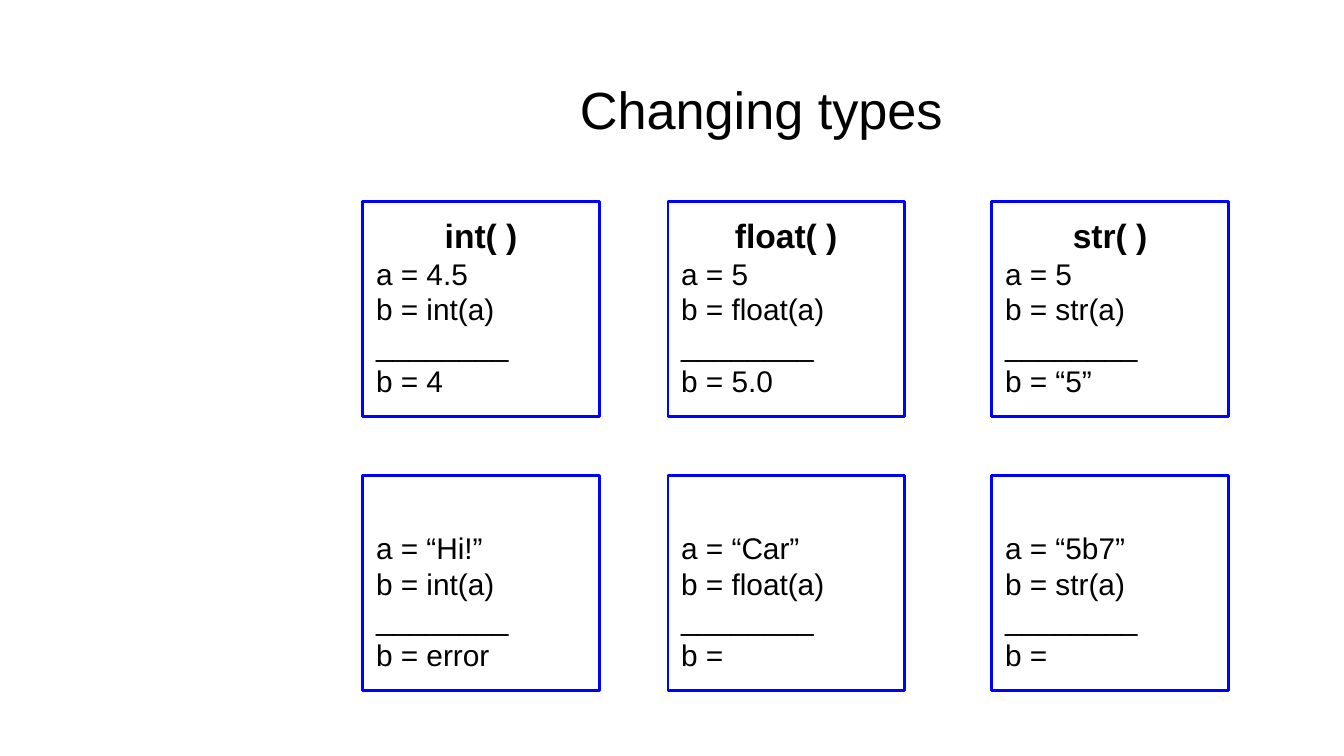
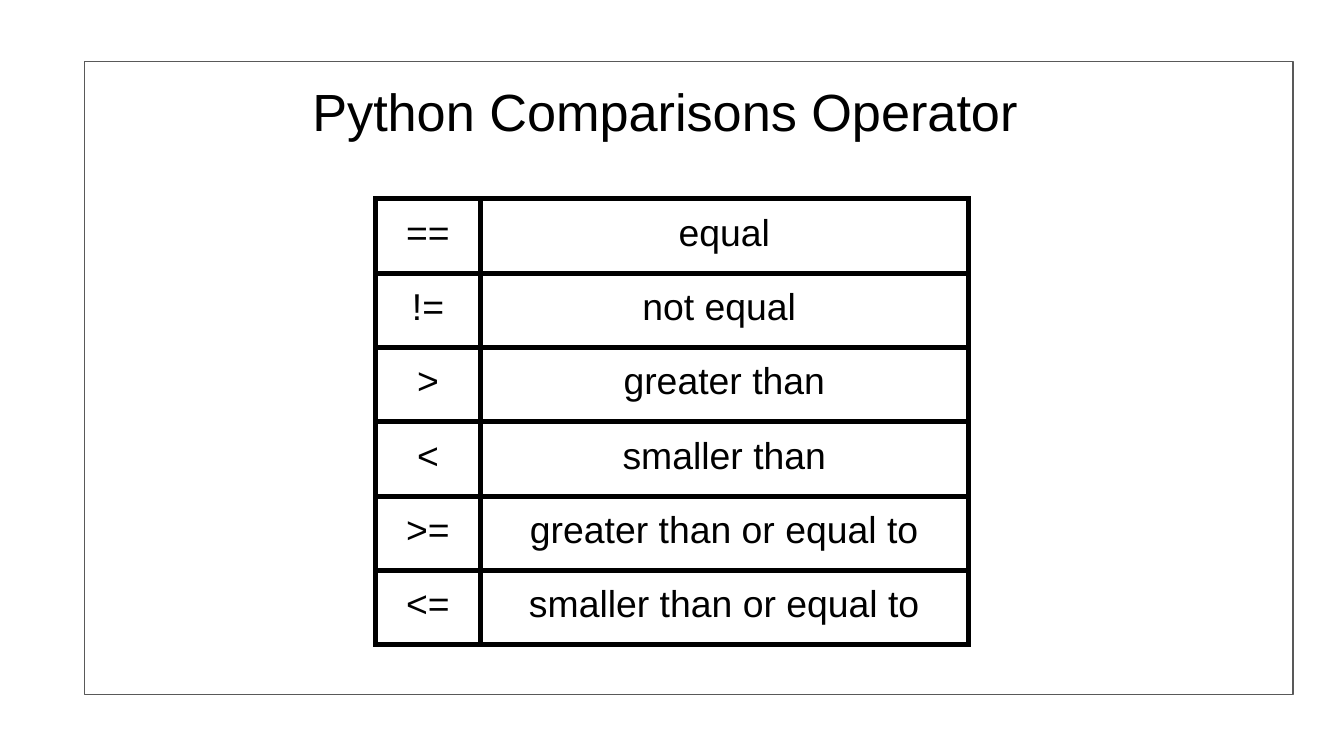
from lxml.etree import SubElement
from pptx import Presentation
from pptx.dml.color import RGBColor
from pptx.enum.shapes import MSO_SHAPE
from pptx.enum.text import MSO_ANCHOR, PP_ALIGN
from pptx.oxml.ns import qn
from pptx.util import Inches, Pt

COLORS = {"ink": "000000", "paper": "FFFFFF", "box": "0000FF", "frame": "595959"}
FONT = "Arial"
# Slide grid: 100 columns by 56.25 rows of square units (16:9)
UNIT = Inches(0.1)
COLS, ROWS = 100, 56.25
INSET = 1

BOX_LEFTS = (27, 49.7, 73.8)
BOX_TOP, BOX_PITCH = 15, 20.4
BOX_SIZE = (17.6, 16)
HEADING_ROOM = 3
RULE = "________"
CONVERSIONS = [
    [("int( )", "a = 4.5", "b = int(a)", "b = 4"),
     ("float( )", "a = 5", "b = float(a)", "b = 5.0"),
     ("str( )", "a = 5", "b = str(a)", "b = “5”")],
    [(None, "a = “Hi!”", "b = int(a)", "b = error"),
     (None, "a = “Car”", "b = float(a)", "b ="),
     (None, "a = “5b7”", "b = str(a)", "b =")],
]
OPERATORS = [
    ("==", "equal"),
    ("!=", "not equal "),
    (">", "greater than"),
    ("<", "smaller than"),
    (">=", "greater than or equal to"),
    ("<=", "smaller than or equal to"),
]


def color(name):
    return RGBColor.from_string(COLORS[name])


def units(*lengths):
    return [round(n * UNIT) for n in lengths]


def set_insets(item, top=INSET):
    """Set the margins of a text frame or a table cell."""
    item.margin_left = item.margin_right = item.margin_bottom = units(INSET)[0]
    item.margin_top = units(top)[0]


def write(tf, lines):
    """Fill a text frame with (text, size, bold, alignment) lines."""
    for i, (text, size, bold, align) in enumerate(lines):
        p = tf.paragraphs[0] if i == 0 else tf.add_paragraph()
        p.alignment = align
        r = p.add_run()
        r.text = text
        r.font.name, r.font.size, r.font.bold = FONT, Pt(size), bold
        r.font.color.rgb = color("ink")


def add_rect(s, box, line, weight, fill=None):
    sp = s.shapes.add_shape(MSO_SHAPE.RECTANGLE, *units(*box))
    sp.shadow.inherit = False
    if fill:
        sp.fill.solid()
        sp.fill.fore_color.rgb = color(fill)
    else:
        sp.fill.background()
    sp.line.color.rgb = color(line)
    sp.line.width = Pt(weight)
    return sp


def add_title(s, box, text, anchor):
    tf = s.shapes.add_textbox(*units(*box)).text_frame
    tf.word_wrap = True
    tf.vertical_anchor = anchor
    set_insets(tf)
    write(tf, [(text, 28, False, PP_ALIGN.CENTER)])


def add_conversion(s, box, heading, *code):
    """Draw one example; without a heading its room is left empty."""
    tf = add_rect(s, box, "box", 1.5).text_frame
    tf.word_wrap = True
    tf.vertical_anchor = MSO_ANCHOR.TOP
    set_insets(tf, INSET if heading else INSET + HEADING_ROOM)
    *given, result = code
    lines = [(heading, 18, True, PP_ALIGN.CENTER)] if heading else []
    lines += [(t, 16, False, PP_ALIGN.LEFT) for t in (*given, RULE, result)]
    write(tf, lines)


def add_borders(cell, name, weight):
    tc_pr = cell._tc.get_or_add_tcPr()
    for i, side in enumerate(("lnL", "lnR", "lnT", "lnB")):
        ln = tc_pr.makeelement(qn(f"a:{side}"), {"w": str(Pt(weight))})
        fill = SubElement(ln, qn("a:solidFill"))
        SubElement(fill, qn("a:srgbClr"), val=COLORS[name])
        tc_pr.insert(i, ln)


def add_operator_table(s, box, widths):
    left, top, height = box
    table = s.shapes.add_table(len(OPERATORS), len(widths),
                               *units(left, top, sum(widths), height)).table
    table.first_row = table.horz_banding = False
    for column, width in zip(table.columns, units(*widths)):
        column.width = width
    for row, texts in zip(table.rows, OPERATORS):
        for cell, text in zip(row.cells, texts):
            set_insets(cell)
            cell.fill.background()
            add_borders(cell, "ink", 3)
            write(cell.text_frame, [(text, 20, False, PP_ALIGN.CENTER)])


def new_slide(prs):
    s = prs.slides.add_slide(prs.slide_layouts[6])
    s.background.fill.solid()
    s.background.fill.fore_color.rgb = color("paper")
    return s


def types_slide(prs):
    s = new_slide(prs)
    add_title(s, (15.6, 4.9, 81, 6.3), " Changing types", MSO_ANCHOR.MIDDLE)
    for i, examples in enumerate(CONVERSIONS):
        for left, example in zip(BOX_LEFTS, examples):
            add_conversion(s, (left, BOX_TOP + i * BOX_PITCH, *BOX_SIZE), *example)


def operators_slide(prs):
    s = new_slide(prs)
    add_rect(s, (6.3, 4.6, 89.9, 47.1), "frame", 0.75, "paper")
    add_title(s, (3.4, 4.9, 93.2, 6.3), "Python Comparisons Operator ", MSO_ANCHOR.TOP)
    add_operator_table(s, (27.95, 14.8, 33.2), (7.8, 36.3))


def main():
    prs = Presentation()
    prs.slide_width, prs.slide_height = units(COLS, ROWS)
    types_slide(prs)
    operators_slide(prs)
    prs.save("out.pptx")


if __name__ == "__main__":
    main()
